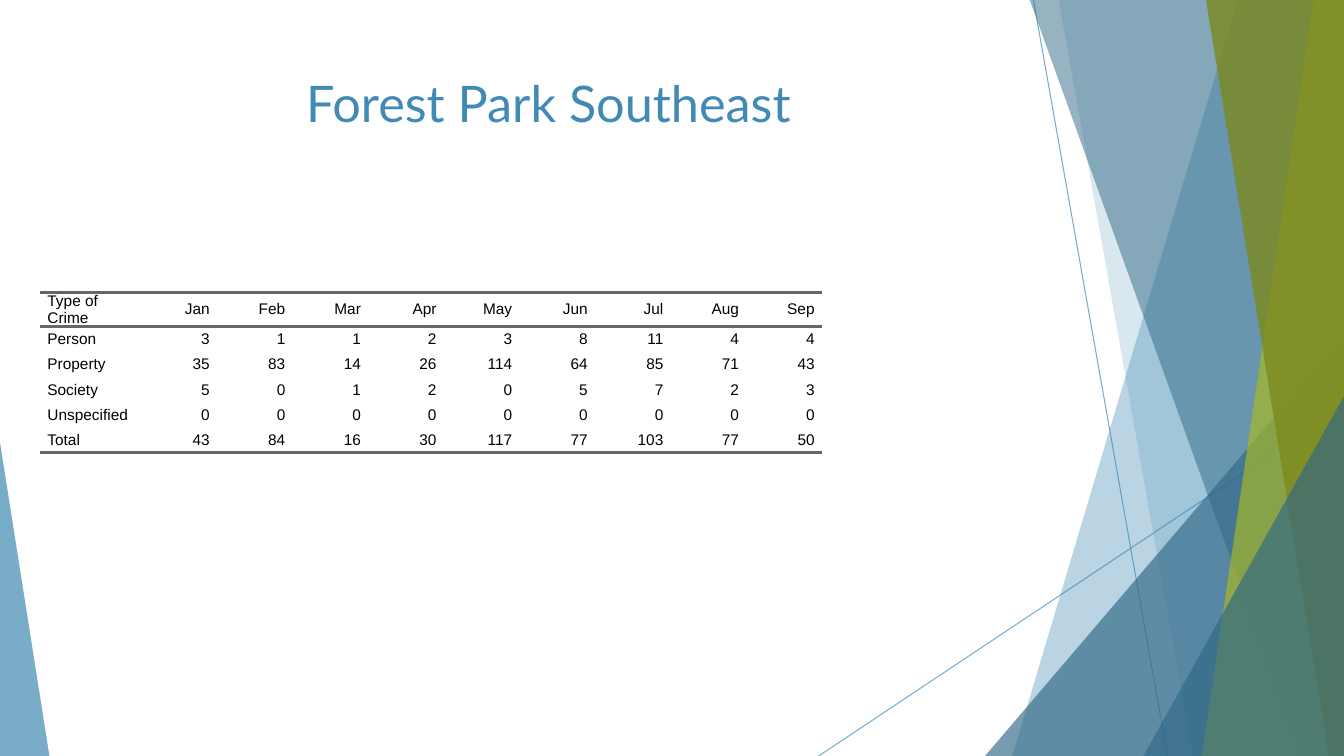
from pptx import Presentation
from pptx import util as u
from pptx.dml import color
from pptx.enum import shapes, text
from pptx.oxml import ns, xmlchemy

W, H = 13.33, 7.5
TOP = -0.01


def rgb(value):
    return color.RGBColor.from_string(value)


def add_xml(parent, tag, **attrs):
    child = xmlchemy.OxmlElement(tag)
    for name, value in attrs.items():
        child.set(name, str(value))
    parent.append(child)
    return child


class Deck:
    blue, navy, lime, olive = "418AB3", "316886", "A6B727", "7D891D"
    rule, ink = "666666", "000000"
    title_font, table_font = "Lato", "Arial"

    def __init__(self):
        self.prs = Presentation()
        self.prs.slide_width = u.Inches(W)
        self.prs.slide_height = u.Inches(H)
        self.s = self.prs.slides.add_slide(self.prs.slide_layouts[6])

    def fade(self, fill_parent, alpha):
        clr = fill_parent.find(".//" + ns.qn("a:srgbClr"))
        add_xml(clr, "a:alpha", val=alpha * 1000)

    def paint(self, sp, fill, alpha):
        sp.shadow.inherit = False
        sp.fill.solid()
        sp.fill.fore_color.rgb = rgb(fill)
        sp.line.fill.background()
        self.fade(sp._element.spPr, alpha)

    def line(self, x1, y1, x2, y2):
        ends = [u.Inches(v) for v in (x1, y1, x2, y2)]
        cx = self.s.shapes.add_connector(shapes.MSO_CONNECTOR.STRAIGHT, *ends)
        cx.line.color.rgb = rgb(self.blue)
        cx.line.width = u.Pt(0.75)
        self.fade(cx._element.spPr, 70)
        add_xml(cx._element.spPr, "a:effectLst")

    def band(self, top_x, bottom_x, fill, alpha):
        corners = [(W, TOP), (W, H), (bottom_x, H)]
        fb = self.s.shapes.build_freeform(u.Inches(top_x), u.Inches(TOP))
        fb.add_line_segments([(u.Inches(x), u.Inches(y)) for x, y in corners])
        self.paint(fb.convert_to_shape(), fill, alpha)

    def triangle(self, x, y, w, apex, fill, alpha):
        box = [u.Inches(v) for v in (x, y, w, H - y)]
        sp = self.s.shapes.add_shape(shapes.MSO_SHAPE.ISOSCELES_TRIANGLE, *box)
        sp.adjustments[0] = apex
        self.paint(sp, fill, alpha)

    def style(self, p, font, size, fill):
        for r in p.runs:
            r.font.name = font
            r.font.size = u.Pt(size)
            r.font.color.rgb = rgb(fill)

    def title(self, words, x, y, w, h):
        box = [u.Inches(v) for v in (x, y, w, h)]
        tf = self.s.shapes.add_textbox(*box).text_frame
        tf.word_wrap = True
        tf.vertical_anchor = text.MSO_ANCHOR.TOP
        tf.text = words
        p = tf.paragraphs[0]
        p.alignment = text.PP_ALIGN.CENTER
        self.style(p, self.title_font, 36, self.blue)

    def border(self, cell, side):
        ln = add_xml(cell._tc.get_or_add_tcPr(), "a:" + side, w=u.Pt(2))
        add_xml(add_xml(ln, "a:solidFill"), "a:srgbClr", val=self.rule)

    def cell(self, cell, words, align, sides):
        cell.margin_left = cell.margin_right = 0
        cell.margin_top = cell.margin_bottom = 0
        cell.vertical_anchor = text.MSO_ANCHOR.MIDDLE
        for side in sides:
            self.border(cell, side)
        cell.fill.background()
        cell.text_frame.text = str(words)
        p = cell.text_frame.paragraphs[0]
        p.alignment = align
        p.space_after = u.Pt(5)
        for edge in ("marL", "marR"):
            p._p.get_or_add_pPr().set(edge, str(u.Inches(0.07)))
        self.style(p, self.table_font, 11, self.ink)

    def table(self, rows, x, y, widths, row_h):
        box = [u.Inches(v) for v in (x, y, sum(widths), row_h * len(rows))]
        tbl = self.s.shapes.add_table(len(rows), len(widths), *box).table
        tbl.first_row = tbl.horz_banding = False
        style_id = tbl._tbl.tblPr.find(ns.qn("a:tableStyleId"))
        style_id.text = "{2D5ABB26-0587-4C30-8999-92F81FD0307C}"
        for col, width in zip(tbl.columns, widths):
            col.width = u.Inches(width)
        ruled = {0: ("lnT", "lnB"), len(rows) - 1: ("lnB",)}
        for i, row in enumerate(rows):
            tbl.rows[i].height = u.Inches(row_h)
            for j, words in enumerate(row):
                align = text.PP_ALIGN.RIGHT if j else text.PP_ALIGN.LEFT
                self.cell(tbl.cell(i, j), words, align, ruled.get(i, ()))


def main():
    d = Deck()
    d.line(10.25, 0, 11.58, H)
    d.line(W, 4.03, 8.12, H)
    d.band(12.28, 10.04, d.blue, 36)
    d.band(10.5, 11.83, d.blue, 20)
    d.triangle(9.77, 3.33, 3.56, 1, d.navy, 66)
    d.band(10.21, 12.91, d.navy, 50)
    d.band(13.03, 11.92, d.lime, 70)
    d.band(11.96, 13.18, d.olive, 80)
    d.triangle(11.34, 3.93, 1.99, 1, d.navy, 66)
    d.triangle(0, 4.39, 0.49, 0, d.blue, 70)

    crimes = [
        ["Type of Crime", "Jan", "Feb", "Mar", "Apr", "May", "Jun", "Jul", "Aug", "Sep"],
        ["Person", 3, 1, 1, 2, 3, 8, 11, 4, 4],
        ["Property", 35, 83, 14, 26, 114, 64, 85, 71, 43],
        ["Society", 5, 0, 1, 2, 0, 5, 7, 2, 3],
        ["Unspecified"] + [0] * 9,
        ["Total", 43, 84, 16, 30, 117, 77, 103, 77, 50],
    ]
    d.table(crimes, 0.4, 2.9, [1] + [0.75] * 9, 0.25)
    d.title("Forest Park Southeast", 0.74, 0.67, 9.4, 1.44)
    d.prs.save("out.pptx")


if __name__ == "__main__":
    main()
